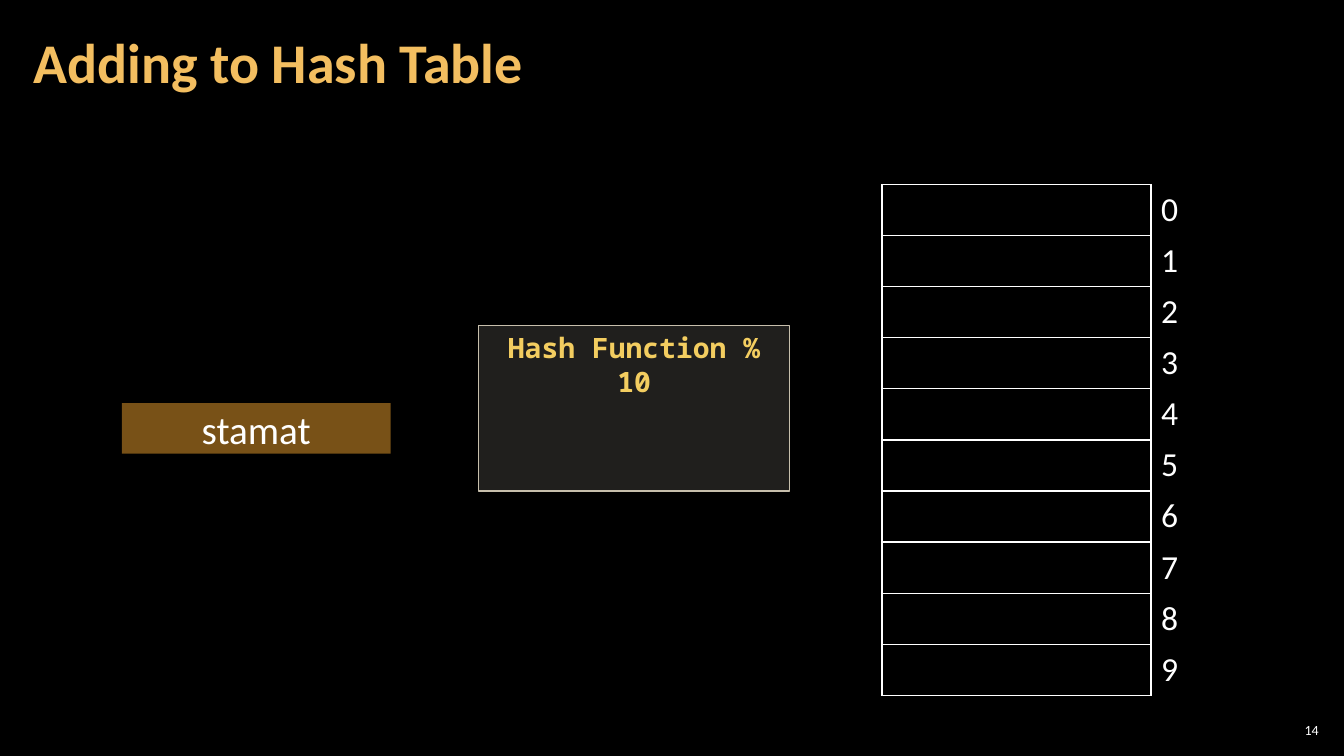
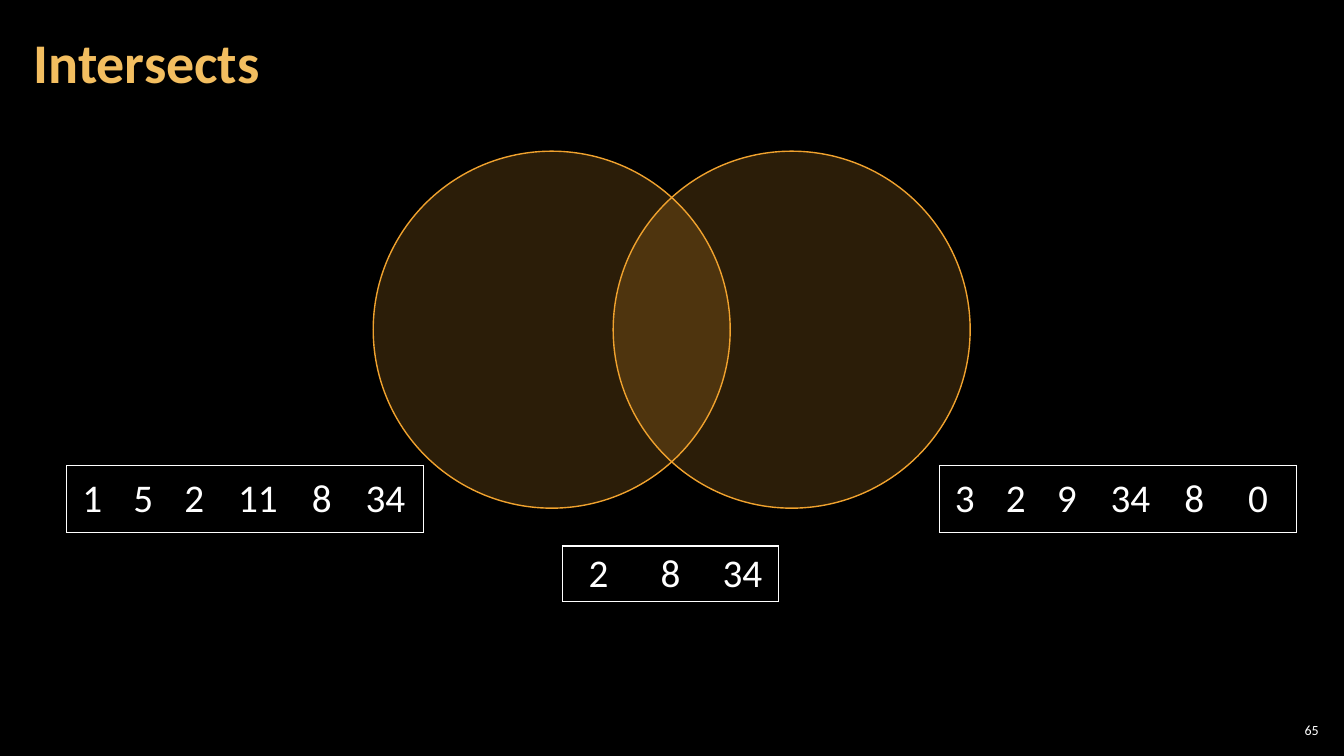
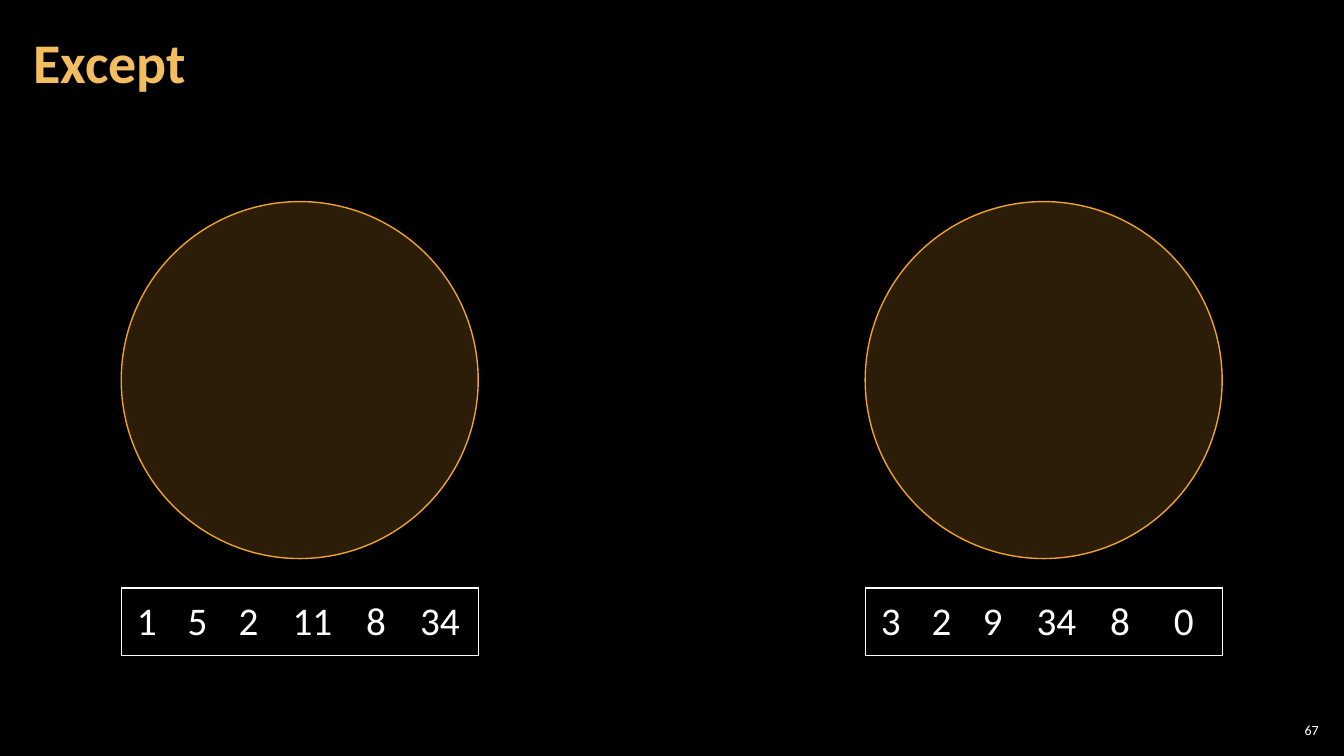
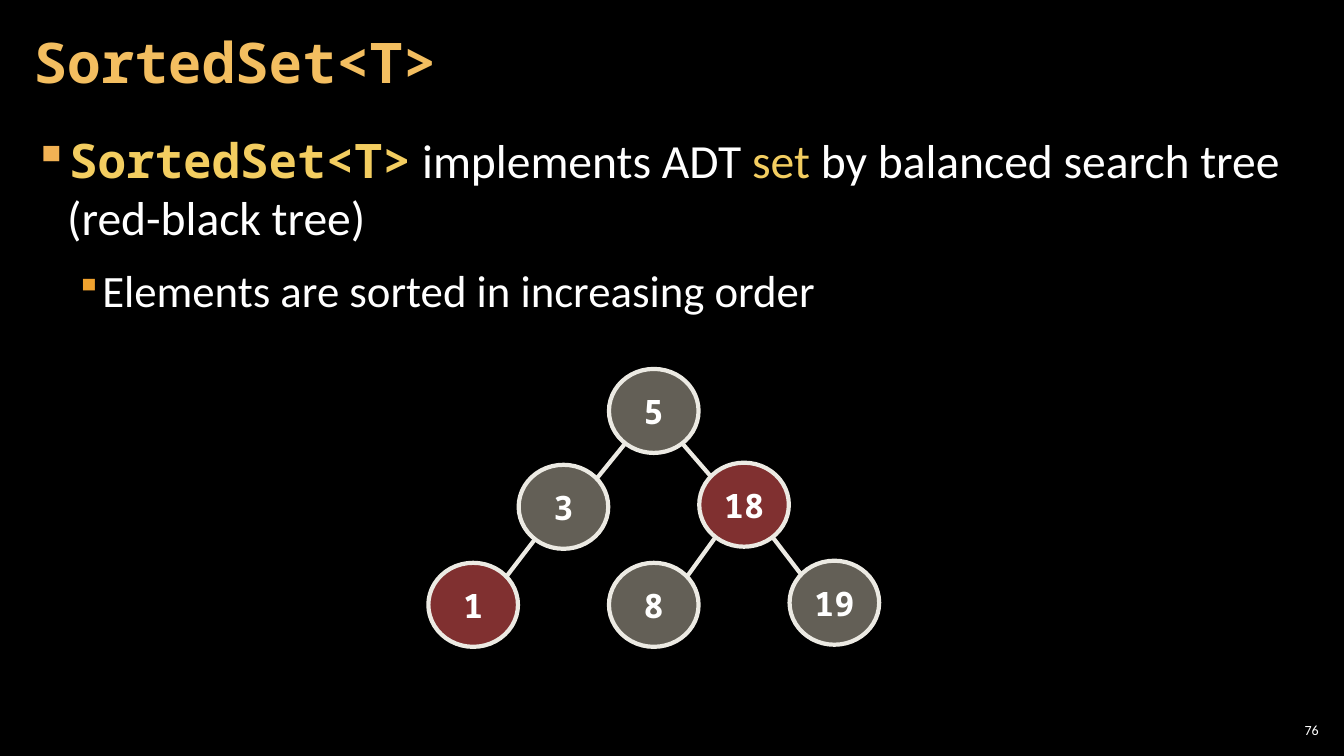
from lxml import etree
from pptx import Presentation
from pptx.dml.color import RGBColor
from pptx.enum import shapes, text
from pptx.oxml import ns
from pptx.util import Pt

# Shared look
SANS, MONO = "Calibri", "Noto Sans Mono"
BLACK, WHITE, GOLD, AMBER = "000000", "FFFFFF", "F3BE60", "F0A22E"
YELLOW, SAND, RED, PALE = "F3CD60", "C7BFAC", "FF6161", "ECEAE3"
KIND, ALIGN, ANCHOR = shapes.MSO_SHAPE, text.PP_ALIGN, text.MSO_ANCHOR
PLAIN = "{2D5ABB26-0587-4C30-8999-92F81FD0307C}"
INSETS = 9, 3, 9, 3

# Content: sets of numbers, with column widths
DISC = 255
ROW = [36.4, 36.4, 36.4, 54.7, 36.4, 54.7]
LEFT = [1, 5, 2, 11, 8, 34]
RIGHT = [3, 2, 9, 34, 8, 0]
BOTH = [2, 8, 34]

# Content: bullets as (level, size, bullet colour, bullet %, runs)
POINTS = [
    (0, 34, "F2B254", 100, [
        ("SortedSet<T>", MONO, YELLOW, True),
        (" implements ADT ", SANS, WHITE, False),
        ("set", SANS, YELLOW, False),
        (" by balanced search tree (red-black tree)", SANS, WHITE, False)]),
    (1, 32, AMBER, 80, [
        ("Elements are sorted in increasing order", SANS, WHITE, False)]),
]
INDENT = [(24, -24), (48, -18)]

# Content: tree nodes as value: (column, top, fill), edges as (parent, child)
NODES = {5: (2, 263.5, SAND), 3: (1, 332, SAND), 18: (3, 330.5, RED),
         1: (0, 402, RED), 8: (2, 402, SAND), 19: (4, 400.5, SAND)}
EDGES = [(5, 3), (5, 18), (3, 1), (18, 8), (18, 19)]
NODE_W, NODE_H, STEP, TREE_X = 64, 60, 64.5, 306


def color(code):
    return RGBColor.from_string(code)


def add(node, tag, **attrs):
    return etree.SubElement(node, ns.qn(tag), attrs)


def style(run, size, font=SANS, code=WHITE, bold=False):
    run.font.size, run.font.name, run.font.bold = Pt(size), font, bold
    run.font.color.rgb = color(code)


def write(para, words, size, font=SANS, code=WHITE, bold=False,
          align=ALIGN.LEFT, space=None):
    para.text = str(words)
    para.alignment = align
    if space:
        para.line_spacing = space
    style(para.runs[0], size, font, code, bold)


def label(slide, box, insets, anchor):
    frame = slide.shapes.add_textbox(*map(Pt, box)).text_frame
    frame.word_wrap = True
    frame.vertical_anchor = anchor
    (frame.margin_left, frame.margin_top,
     frame.margin_right, frame.margin_bottom) = map(Pt, insets)
    return frame


def shape(slide, kind, box, fill, alpha, line=None, width=1):
    item = slide.shapes.add_shape(kind, *map(Pt, box))
    item.shadow.inherit = False
    item.fill.solid()
    item.fill.fore_color.rgb = color(fill)
    tint = item.fill._xPr.find(ns.qn("a:solidFill"))[0]
    add(tint, "a:alpha", val=str(alpha * 1000))
    if line:
        item.line.color.rgb = color(line)
        item.line.width = Pt(width)
    else:
        item.line.fill.background()
    return item


def grid(slide, x, y, cols, rows, height):
    item = slide.shapes.add_table(
        rows, len(cols), Pt(x), Pt(y), Pt(sum(cols)), Pt(rows * height))
    table = item.table
    table.first_row = table.horz_banding = False
    table._tbl.tblPr.find(ns.qn("a:tableStyleId")).text = PLAIN
    for col, width in zip(table.columns, cols):
        col.width = Pt(width)
    for row in table.rows:
        row.height = Pt(height)
    return table


def border(cell, sides):
    cell.fill.background()
    props = cell._tc.get_or_add_tcPr()
    for spot, side in enumerate(s for s in "LRTB" if s in sides):
        line = etree.Element(ns.qn("a:ln" + side), w=str(Pt(1)))
        add(add(line, "a:solidFill"), "a:srgbClr", val=WHITE)
        props.insert(spot, line)


def numbers(slide, x, y, values, cols, height):
    table = grid(slide, x, y, cols, 1, height)
    for i, value in enumerate(values):
        cell = table.cell(0, i)
        cell.margin_left = cell.margin_right = Pt(9.4)
        cell.vertical_anchor = ANCHOR.MIDDLE
        write(cell.text_frame.paragraphs[0], value, 28,
              align=ALIGN.CENTER, space=0.95)
        ends = ("L" if i == 0 else "") + ("R" if i == len(values) - 1 else "")
        border(cell, "TB" + ends)


def start(deck, title, number, font=SANS):
    slide = deck.slides.add_slide(deck.slide_layouts[6])
    frame = label(slide, (911, 514, 34, 15), (3, 3, 3, 3), ANCHOR.MIDDLE)
    write(frame.paragraphs[0], number, 10, align=ALIGN.RIGHT)
    frame = label(slide, (15, 3, 754, 87), INSETS, ANCHOR.MIDDLE)
    write(frame.paragraphs[0], title, 40, font, GOLD, True, space=0.9)
    return slide


def hashing(deck):
    slide = start(deck, "Adding to Hash Table", 14)
    table = grid(slide, 630, 131.8, [192.2, 40], 10, 36.5)
    for i in range(10):
        border(table.cell(i, 0), "LRTB")
        border(table.cell(i, 1), "L")
        write(table.cell(i, 1).text_frame.paragraphs[0], i, 24)
    key = shape(slide, KIND.FLOWCHART_PROCESS, (87, 288, 192, 36), AMBER, 50)
    key.text_frame.vertical_anchor = ANCHOR.MIDDLE
    write(key.text_frame.paragraphs[0], "stamat", 28, align=ALIGN.CENTER)
    box = shape(slide, KIND.RECTANGLE, (342, 232.6, 222, 118),
                "D9D5C7", 15, SAND)
    box.text_frame.vertical_anchor = ANCHOR.TOP
    write(box.text_frame.paragraphs[0], "Hash Function % 10", 20, MONO,
          YELLOW, True, ALIGN.CENTER)


def discs(slide, top, lefts):
    for x in lefts:
        shape(slide, KIND.OVAL, (x, top, DISC, DISC), AMBER, 18, AMBER)


def overlap(deck):
    slide = start(deck, "Intersects", 65)
    discs(slide, 108, (438, 266.6))
    numbers(slide, 47.7, 332.4, LEFT, ROW, 48)
    numbers(slide, 671, 332.4, RIGHT, ROW, 48)
    numbers(slide, 401.8, 390, BOTH, [51.4] * 3, 39.8)


def differ(deck):
    slide = start(deck, "Except", 67)
    spots = 618, 86.6
    discs(slide, 144, spots)
    for x, values in zip(spots, (RIGHT, LEFT)):
        numbers(slide, x, 420, values, ROW, 48)


def bullets(slide):
    frame = label(slide, (15, 90.7, 930, 438), INSETS, ANCHOR.TOP)
    for i, (level, size, code, scale, runs) in enumerate(POINTS):
        para = frame.add_paragraph() if i else frame.paragraphs[0]
        para.level = level
        para.space_after = Pt(6)
        if i:
            para.space_before = Pt(6)
        props = para._p.get_or_add_pPr()
        margin, hang = INDENT[level]
        props.set("marL", str(Pt(margin)))
        props.set("indent", str(Pt(hang)))
        add(add(props, "a:buClr"), "a:srgbClr", val=code)
        add(props, "a:buSzPct", val=str(scale * 1000))
        add(props, "a:buChar", char="▪")
        for words, font, ink, bold in runs:
            run = para.add_run()
            run.text = words
            style(run, size, font, ink, bold)


def tree(slide):
    mids = {}
    for value, (col, top, fill) in NODES.items():
        x = TREE_X + col * STEP
        mids[value] = x + NODE_W / 2, top + NODE_H / 2
        node = shape(slide, KIND.OVAL, (x, top, NODE_W, NODE_H),
                     fill, 50, PALE, 3)
        node.text_frame.word_wrap = False
        node.text_frame.vertical_anchor = ANCHOR.MIDDLE
        write(node.text_frame.paragraphs[0], value, 24, MONO, WHITE, True,
              ALIGN.CENTER)
    # Edges run from rim to rim
    for parent, child in EDGES:
        (px, py), (cx, cy) = mids[parent], mids[child]
        way = 1 if cx > px else -1
        ends = px + way * 21, py + 24, cx - way * 24, cy - 20.5
        edge = slide.shapes.add_connector(
            shapes.MSO_CONNECTOR.STRAIGHT, *map(Pt, ends))
        edge.line.color.rgb = color(PALE)
        edge.line.width = Pt(3)
        add(edge._element.spPr, "a:effectLst")


def ordered(deck):
    slide = start(deck, "SortedSet<T>", 76, MONO)
    bullets(slide)
    tree(slide)


def main():
    deck = Presentation()
    deck.slide_width, deck.slide_height = Pt(960), Pt(540)
    back = deck.slide_master.background.fill
    back.solid()
    back.fore_color.rgb = color(BLACK)
    for build in (hashing, overlap, differ, ordered):
        build(deck)
    deck.save("out.pptx")


if __name__ == "__main__":
    main()
